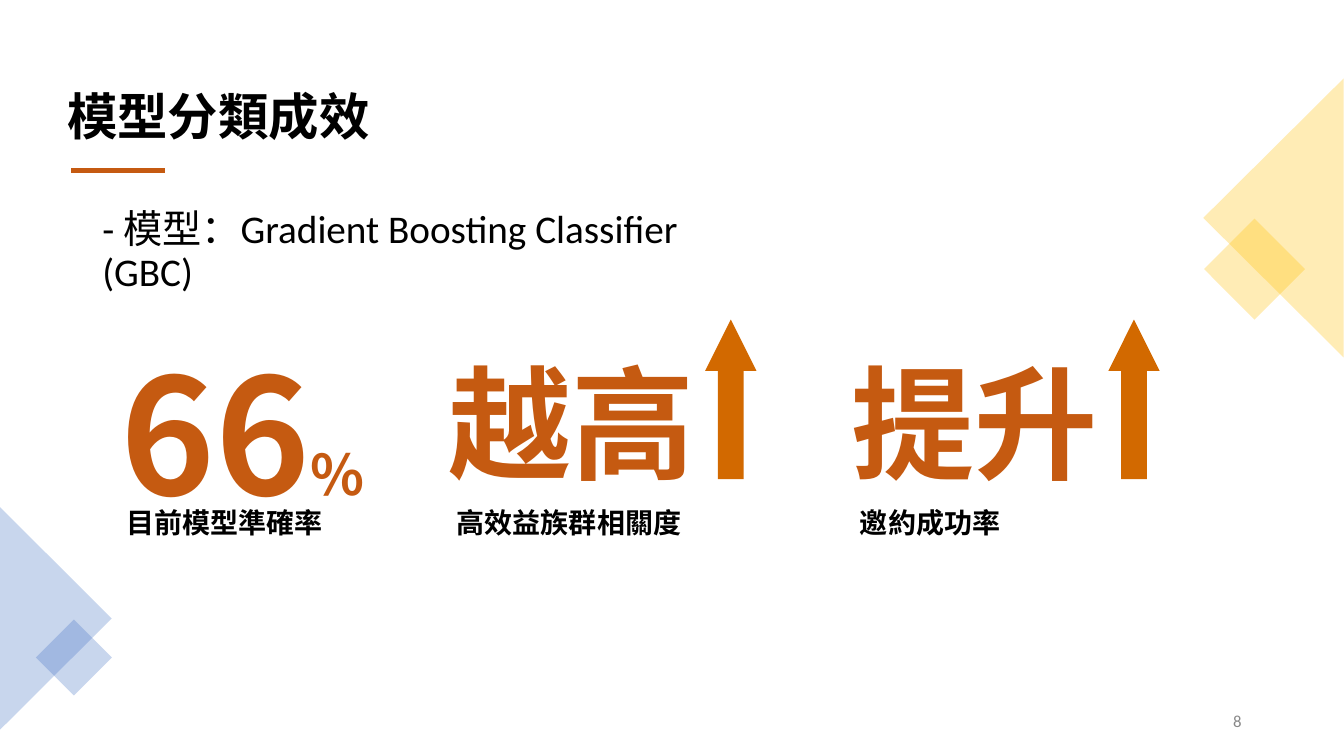
import pptx
import pptx.dml.color
import pptx.enum.shapes
import pptx.enum.text
import pptx.oxml
import pptx.oxml.ns
import pptx.util

COLORS = {
    "yellow": "FFC000",
    "blue": "4472C4",
    "rust": "C55A11",
    "arrow": "D26900",
    "text": "000000",
    "number": "888888",
}
LATIN = "Calibri"
CHINESE = "Noto Sans CJK TC"
SHAPES = pptx.enum.shapes.MSO_SHAPE
ANCHOR = pptx.enum.text.MSO_ANCHOR

presentation = pptx.Presentation()
presentation.slide_width = pptx.util.Inches(13.33)
presentation.slide_height = pptx.util.Inches(7.5)
slide = presentation.slides.add_slide(presentation.slide_layouts[6])

# Square grid of 160 columns by 90 rows
cell = presentation.slide_width / 160


def add_text(shapes, box, runs, color, bold=False, anchor=ANCHOR.TOP):
    """Add a one-paragraph text box; runs are (text, size, font) and box is in grid cells."""
    text_box = shapes.add_textbox(*(round(length * cell) for length in box))
    frame = text_box.text_frame
    frame.word_wrap = True
    frame.vertical_anchor = anchor
    paragraph = frame.paragraphs[0]
    paragraph.font.bold = bold
    paragraph.font.color.rgb = pptx.dml.color.RGBColor.from_string(COLORS[color])
    for text, size, font in runs:
        run = paragraph.add_run()
        run.text = text
        run.font.size = pptx.util.Pt(size)
        run.font.name = font
        east_asian = pptx.oxml.parse_xml(
            f'<a:ea {pptx.oxml.ns.nsdecls("a")} typeface="{CHINESE}"/>'
        )
        run.font._element.append(east_asian)
    return paragraph


def add_filled_shape(shapes, kind, box, rotation, color):
    shape = shapes.add_shape(kind, *(round(length * cell) for length in box))
    shape.rotation = rotation
    shape.shadow.inherit = False
    shape.fill.solid()
    shape.fill.fore_color.rgb = pptx.dml.color.RGBColor.from_string(COLORS[color])
    shape.line.fill.background()
    return shape


# Translucent corner decorations
corners = [
    (SHAPES.RECTANGLE, (145.1, 27.8, 8.5, 8.5), 45, "yellow"),
    (SHAPES.ISOSCELES_TRIANGLE, (135, 17.6, 33.2, 16.7), 270, "yellow"),
    (SHAPES.ISOSCELES_TRIANGLE, (-6.6, 67, 26.5, 13.3), 90, "blue"),
    (SHAPES.RECTANGLE, (5.6, 75.1, 6.4, 6.4), 45, "blue"),
]
for kind, box, rotation, color in corners:
    corner = add_filled_shape(slide.shapes, kind, box, rotation, color)
    fill_color = corner._element.spPr.find(".//" + pptx.oxml.ns.qn("a:srgbClr"))
    fill_color.append(pptx.oxml.parse_xml(
        f'<a:alpha {pptx.oxml.ns.nsdecls("a")} val="29000"/>'
    ))

# Title, its underline, and the model name
title = add_text(slide.shapes, (6.8, 6.7, 143.2, 14.9),
                 [("模型分類成效", 36, CHINESE)], "text", True, ANCHOR.MIDDLE)
title.line_spacing = 0.9

underline = slide.shapes.add_connector(
    pptx.enum.shapes.MSO_CONNECTOR.STRAIGHT,
    *(round(length * cell) for length in (8.5, 20.3, 19.7, 20.3)),
)
underline.line.color.rgb = pptx.dml.color.RGBColor.from_string(COLORS["rust"])
underline.line.width = pptx.util.Pt(3)
underline._element.spPr.append(
    pptx.oxml.parse_xml(f'<a:effectLst {pptx.oxml.ns.nsdecls("a")}/>')
)

model = add_text(slide.shapes, (11, 24.4, 81.7, 8.4), [
    ("- ", 28, LATIN),
    ("模型", 28, CHINESE),
    ("：Gradient Boosting Classifier (GBC)", 28, LATIN),
], "text")
model.line_spacing = 0.9

# Accuracy figure
label_top, label_width, label_height = 59.6, 29.5, 5.3
accuracy = slide.shapes.add_group_shape().shapes
add_text(accuracy, (13.9, label_top, label_width, label_height),
         [("目前模型準確率", 20, CHINESE)], "text", True)
add_text(accuracy, (13.2, 39.2, 31.6, 24.5),
         [("66", 115, CHINESE), ("%", 40, CHINESE)], "rust", True)

# Rising effects, one every 48 columns
effects = [("越高", "高效益族群相關度"), ("提升", "邀約成功率")]
for index, (word, label) in enumerate(effects):
    left = 52.2 + 48 * index
    effect = slide.shapes.add_group_shape().shapes
    add_text(effect, (left, 40.8, 32, 19), [(word, 88, CHINESE)], "rust", True)
    arrow = add_filled_shape(effect, SHAPES.RIGHT_ARROW,
                             (left + 25.3, 44.5, 19, 6.1), 270, "arrow")
    arrow.adjustments[0] = 0.5
    arrow.adjustments[1] = 1
    add_text(effect, (left + 1, label_top, label_width, label_height),
             [(label, 20, CHINESE)], "text", True)

# Slide number
number = add_text(slide.shapes, (113, 83.4, 36, 4.8), [("8", 12, LATIN)],
                  "number", anchor=ANCHOR.MIDDLE)
number.alignment = pptx.enum.text.PP_ALIGN.RIGHT

presentation.save("out.pptx")
